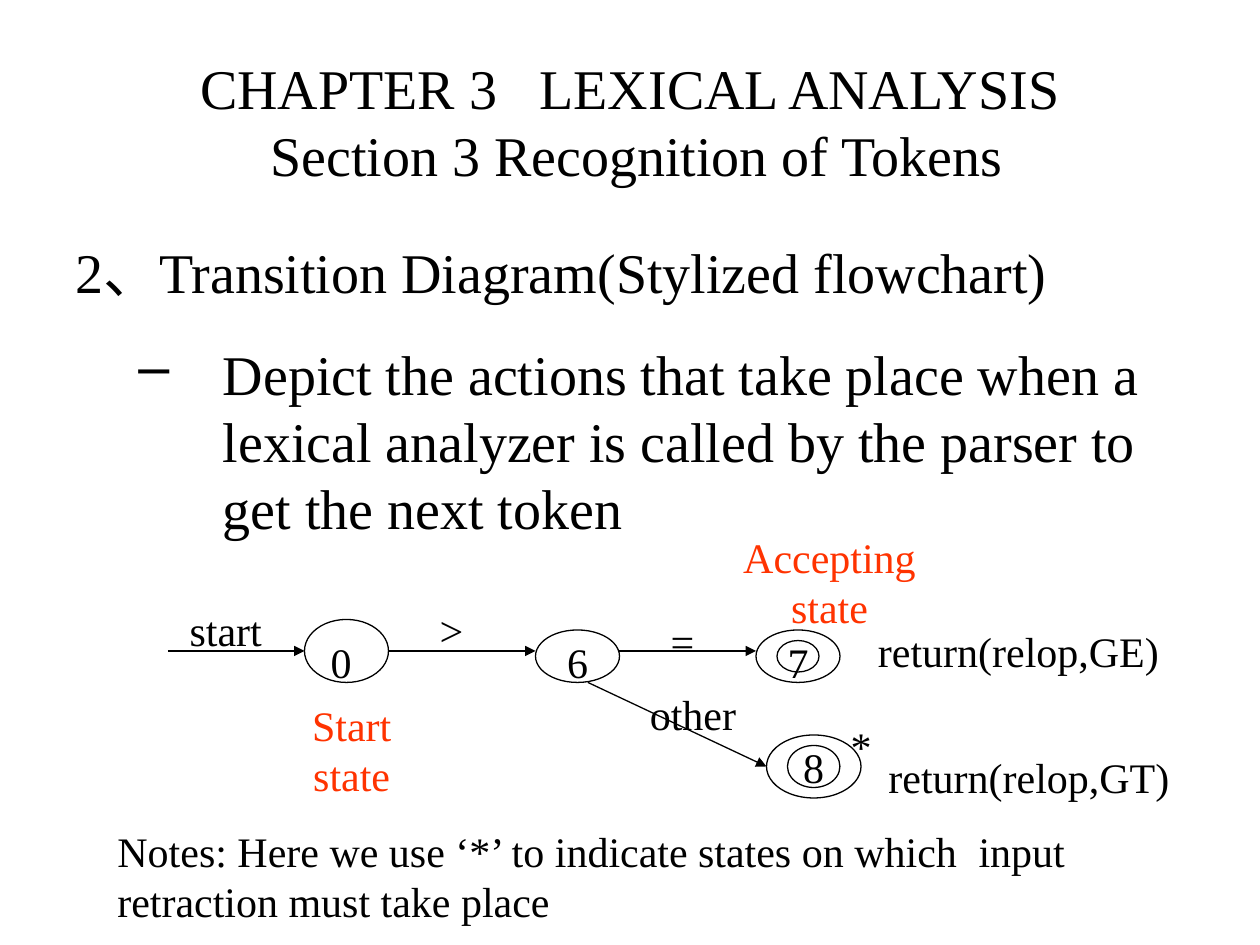
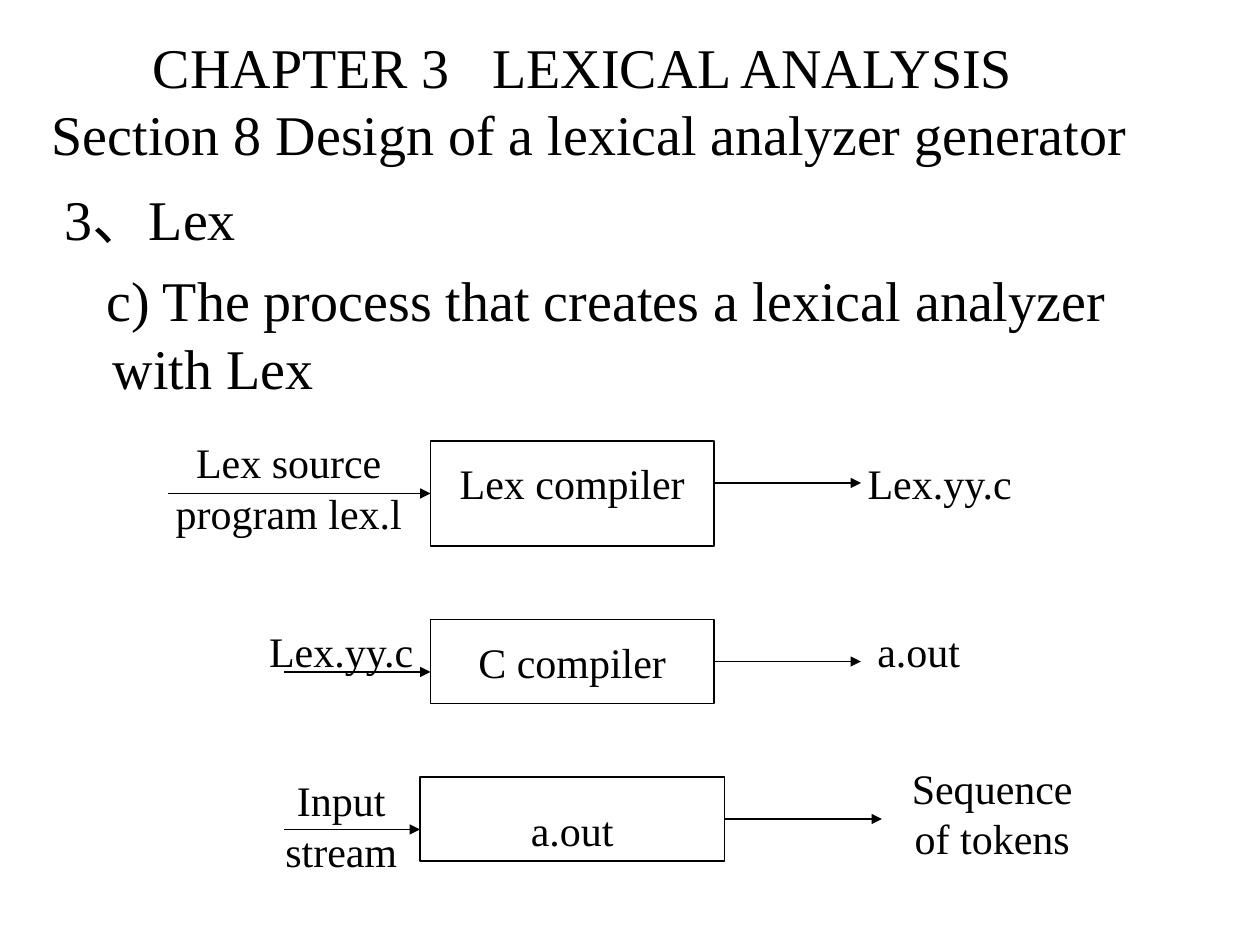
from lxml import etree
from pptx import Presentation
from pptx.dml.color import RGBColor
from pptx.enum.shapes import MSO_CONNECTOR, MSO_SHAPE
from pptx.enum.text import MSO_ANCHOR, PP_ALIGN
from pptx.oxml.ns import qn
from pptx.util import Inches, Pt

CENTER, LEFT = PP_ALIGN.CENTER, PP_ALIGN.LEFT
MIDDLE, TOP = MSO_ANCHOR.MIDDLE, MSO_ANCHOR.TOP
OVAL, RECT = MSO_SHAPE.OVAL, MSO_SHAPE.RECTANGLE
STRAIGHT = MSO_CONNECTOR.STRAIGHT

COLORS = {"ink": "000000", "accent": "FF3300"}
FONT = "Times New Roman"
HEADING, LABEL = 32, 24
COLS, ROWS = 120, 90
CELL = Inches(10) / COLS
ONE_LINE, TWO_LINES = 6, 10.8
CHAPTER = [("CHAPTER 3", 0), (" ", 16), ("LEXICAL ANALYSIS", 0)]


def grid(*cells):
    return [round(c * CELL) for c in cells]


def color(name):
    return RGBColor.from_string(COLORS[name])


def add_runs(p, pieces, size, ink="ink"):
    for text, spacing in pieces:
        r = p.add_run()
        r.text = text
        r.font.name, r.font.size = FONT, Pt(size)
        r.font.color.rgb = color(ink)
        if spacing:
            r._r.get_or_add_rPr().set("spc", str(spacing * 100))


def set_indent(p, margin, first):
    pPr = p._p.get_or_add_pPr()
    pPr.set("marL", str(Inches(margin)))
    pPr.set("indent", str(Inches(first)))


def text_frame(s, box, anchor=TOP):
    tf = s.shapes.add_textbox(*grid(*box)).text_frame
    tf.word_wrap = True
    tf.vertical_anchor = anchor
    return tf


def label(s, x, y, w, text, ink="ink", h=ONE_LINE):
    p = text_frame(s, (x, y, w, h)).paragraphs[0]
    p.alignment = CENTER
    add_runs(p, [(text, 0)], LABEL, ink)


def outline(s, kind, x, y, w, h):
    sp = s.shapes.add_shape(kind, *grid(x, y, w, h))
    sp.shadow.inherit = False
    sp.fill.background()
    sp.line.color.rgb = color("ink")
    sp.line.width = Pt(0.75)
    return sp


def arrow(s, x1, y1, x2, y2):
    cxn = s.shapes.add_connector(STRAIGHT, *grid(x1, y1, x2, y2))
    cxn.line.color.rgb = color("ink")
    cxn.line.width = Pt(0.75)
    etree.SubElement(cxn.line._get_or_add_ln(), qn("a:tailEnd"), type="triangle")
    etree.SubElement(cxn._element.spPr, qn("a:effectLst"))
    return cxn


def title(s, box, section):
    tf = text_frame(s, box, MIDDLE)
    p = tf.paragraphs[0]
    p.alignment = CENTER
    add_runs(p, CHAPTER, HEADING)
    p = tf.add_paragraph()
    p.alignment = CENTER
    set_indent(p, 0.11, 0)
    add_runs(p, [(section, 0)], HEADING)


def body(s, box, gap, paragraphs):
    tf = text_frame(s, box)
    for i, (text, margin, first, bullet) in enumerate(paragraphs):
        p = tf.add_paragraph() if i else tf.paragraphs[0]
        p.alignment = LEFT
        set_indent(p, margin, first)
        if i:
            p.space_before = Pt(gap)
        if bullet:
            p.level = 1
            etree.SubElement(p._p.get_or_add_pPr(), qn("a:buChar"), char=bullet)
        add_runs(p, [(text, 0)], HEADING)


def note(s, box, pieces):
    p = text_frame(s, box).paragraphs[0]
    add_runs(p, pieces, LABEL)


def transition_diagram(s, box):
    left, top = box
    states = [(13, 9, 8, 6), (35, 10, 8, 5), (56, 10, 8, 5), (57, 20, 9, 6)]
    accepting_rings = [(58, 11, 4, 3), (59, 21, 5, 4)]
    moves = [(0, 12, 13, 12), (21, 12, 35, 12), (43, 12, 56, 12), (40, 15, 57, 23)]
    labels = [
        (0, 7, 11, "start"), (22, 7, 10, ">"), (45, 8, 8, "="), (44, 15, 12, "other"),
        (14, 10, 5, "0"), (36, 10, 6, "6"), (56, 10, 8, "7"), (59, 20, 5, "8"),
        (64, 9, 34, "return(relop,GE)"), (67, 21, 30, "return(relop,GT)"),
        (63, 18, 6, "*"),
    ]
    captions = [(11, 16, 13, "Start state"), (52, 0, 22, "Accepting state")]

    for x, y, w, h in states + accepting_rings:
        outline(s, OVAL, left + x, top + y, w, h)
    for x1, y1, x2, y2 in moves:
        arrow(s, left + x1, top + y1, left + x2, top + y2)
    for x, y, w, text in labels:
        label(s, left + x, top + y, w, text)
    for x, y, w, text in captions:
        label(s, left + x, top + y, w, text, "accent", TWO_LINES)


def stage(s, box, in_length, out_length, labels):
    x, y, w, h = box
    sp = outline(s, RECT, *box)
    in_y, out_y = 5, 4
    inflow = arrow(s, x - in_length, y + in_y, x, y + in_y)
    outflow = arrow(s, x + w, y + out_y, x + w + out_length, y + out_y)
    if in_y == h / 2:
        inflow.end_connect(sp, 1)
    if out_y == h / 2:
        outflow.begin_connect(sp, 3)
    for dx, dy, width, text in labels:
        label(s, x + dx, y + dy, width, text)


def recognition_slide(prs):
    s = prs.slides.add_slide(prs.slide_layouts[6])
    title(s, (9, 2, 102, 19), "Section 3 Recognition of Tokens")
    body(s, (6, 22, 108, 60), 20, [
        ("2、Transition Diagram(Stylized flowchart)", 0.67, -0.67, None),
        ("Depict the actions that take place when a lexical analyzer is called "
         "by the parser to get the next token", 1.17, -0.67, "–"),
    ])
    transition_diagram(s, (16, 50))
    note(s, (10, 78, 102, TWO_LINES), [
        ("Notes: Here we use ‘*’ to indicate states on which", 0), (" ", 6),
        ("input retraction must take place", 0),
    ])


def generator_slide(prs):
    s = prs.slides.add_slide(prs.slide_layouts[6])
    title(s, (0, 0, 111, 19), "Section 8 Design of a lexical analyzer generator")
    body(s, (5, 17, 106, 22), 8, [
        ("3、Lex", 0.38, -0.38, None),
        ("c) The process that creates a lexical analyzer with Lex", 0.38, -0.05, None),
    ])
    stage(s, (41, 42, 27, 10), 25, 14, [
        (-26, -1, 25, "Lex source program lex.l"),
        (1, 1, 25, "Lex compiler"), (36, 1, 25, "Lex.yy.c")])
    stage(s, (41, 59, 27, 8), 14, 14, [
        (-21, 0, 25, "Lex.yy.c"), (1, 1, 25, "C compiler"), (34, 0, 25, "a.out")])
    stage(s, (40, 74, 29, 8), 13, 15, [
        (-18, -0.8, 21, "Input stream"),
        (2, 2, 25, "a.out"), (44, -2, 21, "Sequence of tokens")])


def main():
    prs = Presentation()
    prs.slide_width, prs.slide_height = grid(COLS, ROWS)
    recognition_slide(prs)
    generator_slide(prs)
    prs.save("out.pptx")


if __name__ == "__main__":
    main()
